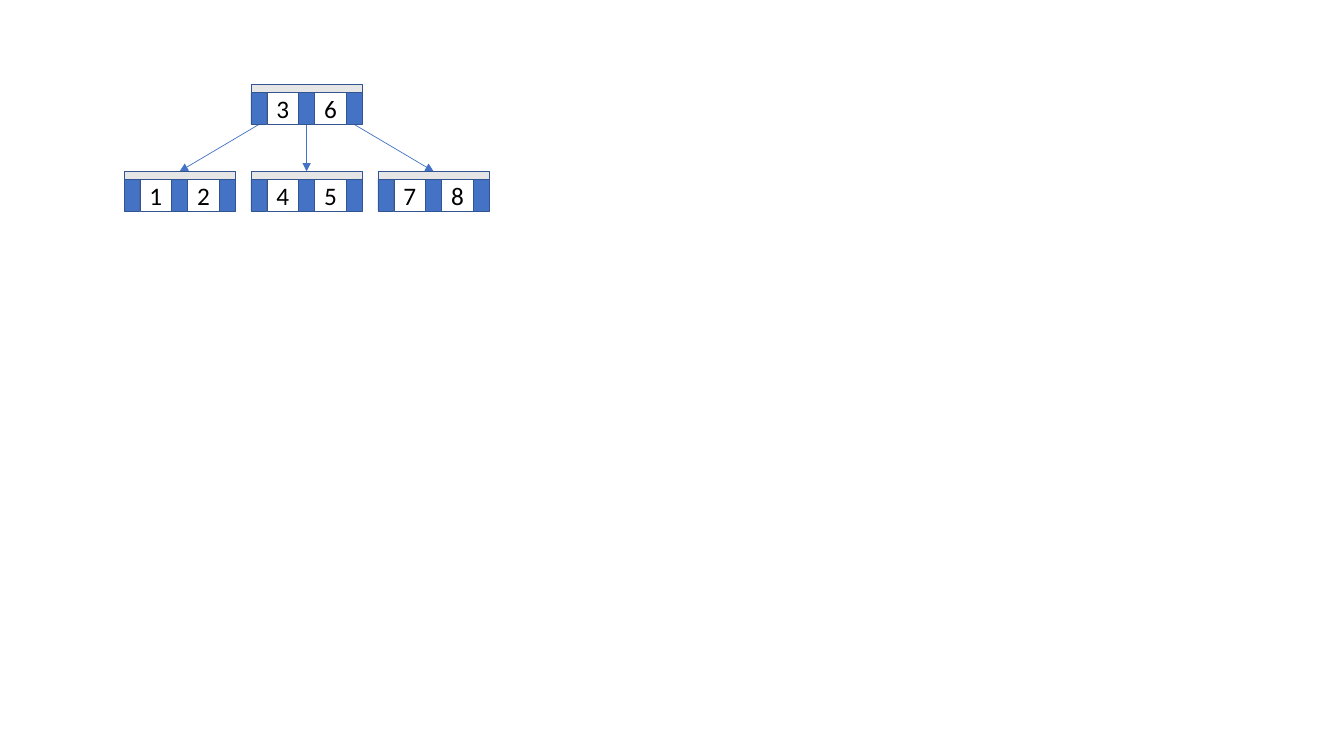
from dataclasses import dataclass

from pptx import Presentation
from pptx.dml.color import RGBColor
from pptx.enum.shapes import MSO_CONNECTOR as Connector, MSO_SHAPE as Shape
from pptx.enum.text import MSO_ANCHOR as Anchor, PP_ALIGN as Align
from pptx.oxml.ns import qn
from pptx.util import Pt
from lxml.etree import SubElement


@dataclass(frozen=True)
class Theme:
    pointer: str = "4472C4"
    key: str = "FFFFFF"
    header: str = "E7E6E6"
    outline: str = "325491"
    text: str = "000000"
    font: str = "Calibri"
    key_size: float = 18
    line_width: float = 0.5


THEME = Theme()
POINTER_WIDTH = 11.35
KEY_WIDTH = 2 * POINTER_WIDTH
SLOT_PITCH = POINTER_WIDTH + KEY_WIDTH
HEADER_HEIGHT = 5.7
CELL_HEIGHT = 22.7
NODE_HEIGHT = HEADER_HEIGHT + CELL_HEIGHT
LEAF_LEFT, LEAF_PITCH = 88.6, 90.7
ROOT_TOP, LEAF_TOP = 60.5, 122.4
ROOT_KEYS = ["3", "6"]
LEAF_KEYS = [["1", "2"], ["4", "5"], ["7", "8"]]


def color(value):
    return RGBColor.from_string(value)


def write_text(shape, text, size=THEME.key_size, font=THEME.font, fill=THEME.text, align=Align.CENTER):
    frame = shape.text_frame
    frame.margin_left = frame.margin_right = frame.margin_top = frame.margin_bottom = 0
    frame.vertical_anchor = Anchor.MIDDLE
    paragraph = frame.paragraphs[0]
    paragraph.alignment = align
    run = paragraph.add_run()
    run.text = text
    run.font.size = Pt(size)
    run.font.name = font
    run.font.color.rgb = color(fill)


def add_box(shapes, left, top, width, height, fill):
    box = shapes.add_shape(Shape.RECTANGLE, Pt(left), Pt(top), Pt(width), Pt(height))
    box.shadow.inherit = False
    box.fill.solid()
    box.fill.fore_color.rgb = color(fill)
    box.line.color.rgb = color(THEME.outline)
    box.line.width = Pt(THEME.line_width)
    return box


def node_width(keys):
    return len(keys) * SLOT_PITCH + POINTER_WIDTH


def add_node(slide, left, top, keys):
    shapes = slide.shapes.add_group_shape().shapes
    cell_top = top + HEADER_HEIGHT
    for index in range(len(keys) + 1):
        add_box(shapes, left + index * SLOT_PITCH, cell_top, POINTER_WIDTH, CELL_HEIGHT, THEME.pointer)
    for index, key in enumerate(keys):
        key_left = left + index * SLOT_PITCH + POINTER_WIDTH
        write_text(add_box(shapes, key_left, cell_top, KEY_WIDTH, CELL_HEIGHT, THEME.key), key)
    add_box(shapes, left, top, node_width(keys), HEADER_HEIGHT, THEME.header)


def add_arrow(slide, start_x, start_y, end_x, end_y):
    arrow = slide.shapes.add_connector(
        Connector.STRAIGHT, Pt(start_x), Pt(start_y), Pt(end_x), Pt(end_y))
    arrow.line.color.rgb = color(THEME.pointer)
    arrow.line.width = Pt(THEME.line_width)
    SubElement(arrow.line._get_or_add_ln(), qn("a:tailEnd"), type="triangle")
    SubElement(arrow._element.spPr, qn("a:effectLst"))


def main():
    presentation = Presentation()
    presentation.slide_width, presentation.slide_height = Pt(960), Pt(540)
    slide = presentation.slides.add_slide(presentation.slide_layouts[6])

    root_left = LEAF_LEFT + LEAF_PITCH
    leaf_lefts = [LEAF_LEFT + index * LEAF_PITCH for index in range(len(LEAF_KEYS))]
    for index, (left, keys) in enumerate(zip(leaf_lefts, LEAF_KEYS)):
        pointer_center = root_left + index * SLOT_PITCH + POINTER_WIDTH / 2
        add_arrow(slide, pointer_center, ROOT_TOP + NODE_HEIGHT, left + node_width(keys) / 2, LEAF_TOP)

    add_node(slide, root_left, ROOT_TOP, ROOT_KEYS)
    for left, keys in zip(leaf_lefts, LEAF_KEYS):
        add_node(slide, left, LEAF_TOP, keys)

    presentation.save("out.pptx")


main()
